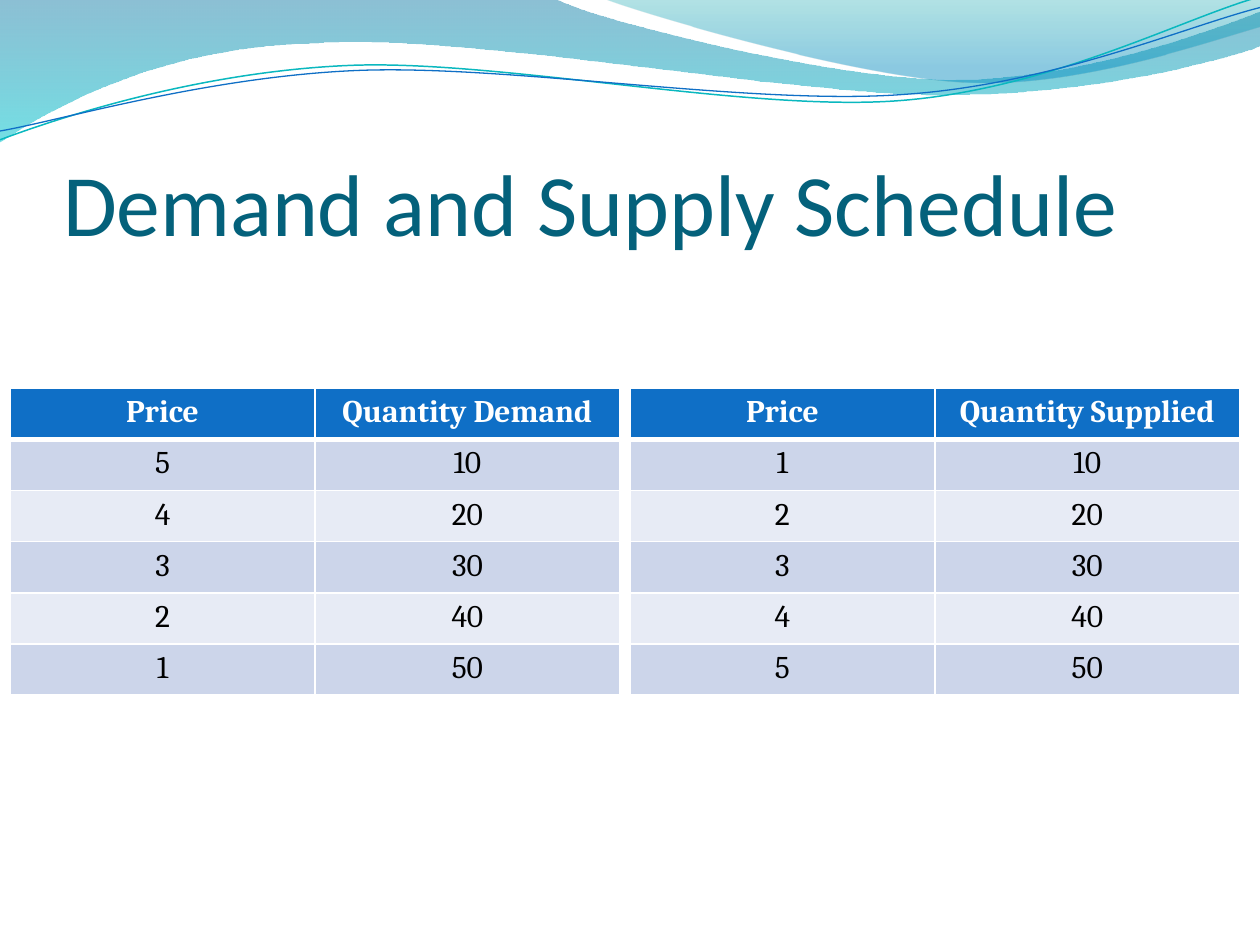
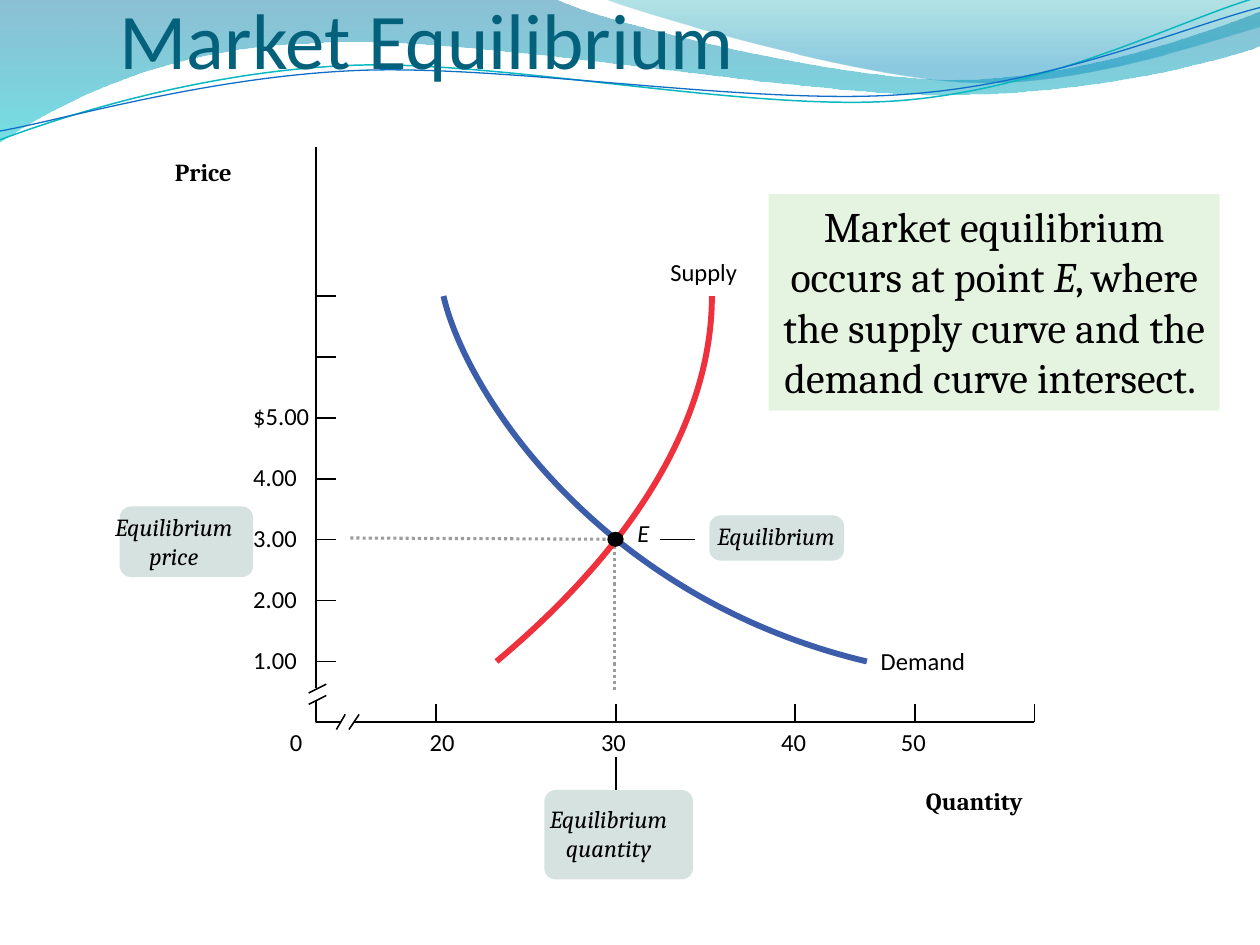
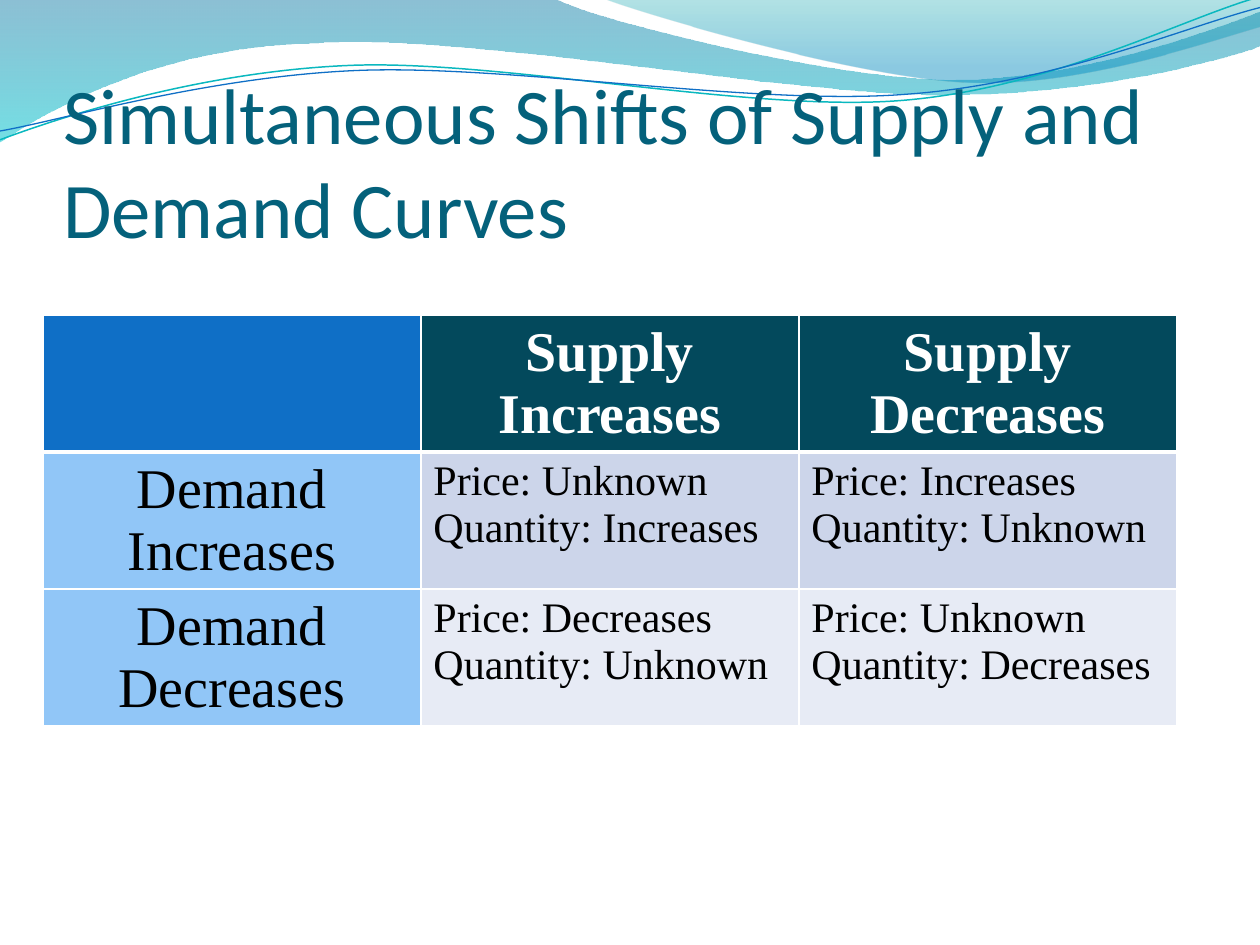
from typing import NamedTuple

from lxml import etree
from pptx import Presentation
from pptx import util as u
from pptx.dml import color
from pptx.enum import dml, shapes, text
from pptx.oxml import ns

HUES = {
    "title": "04617B", "ink": "000000", "white": "FFFFFF",
    "head": "0F6FC6", "dark": "03495C", "side": "91C6F7",
    "odd": "CCD5EA", "even": "E7EBF5",
    "teal": "0AB8BF", "blue": "0F6FC6",
    "deep": "0074A1", "aqua": "00C6CF", "sea": "00A1A9", "sky": "008BBF",
    "note": "E5F4E0", "tag": "D6E2E0", "dots": "9C9C9C",
    "supply": "EE313C", "demand": "3C5DAA",
}
LEFT, MID = text.PP_ALIGN.LEFT, text.PP_ALIGN.CENTER
TOP, CENTER, BOTTOM = text.MSO_ANCHOR.TOP, text.MSO_ANCHOR.MIDDLE, text.MSO_ANCHOR.BOTTOM
FIT, FIXED = text.MSO_AUTO_SIZE.SHAPE_TO_FIT_TEXT, text.MSO_AUTO_SIZE.NONE
PAD = (0.1, 0.05, 0.1, 0.05)
BARE = (0, 0, 0, 0)
THIN = 0.88


class Box(NamedTuple):
    x: float
    y: float
    w: float
    h: float


class Stop(NamedTuple):
    hue: str
    place: float
    alpha: int


class Curve(NamedTuple):
    start: tuple
    steps: list
    hue: str = ""
    width: float = 1
    stops: tuple = ()


class Line(NamedTuple):
    x1: float
    y1: float
    x2: float
    y2: float
    hue: str = "ink"
    width: float = THIN
    dotted: bool = False


class Label(NamedTuple):
    words: str
    box: Box


class Tick(NamedTuple):
    x: float
    words: str
    left: float


WAVES = [
    Curve((0, 0), [
        (4.4, -0.01), (4.76, 0.17, 6.64, 0.63, 7.58, 0.63),
        (8.53, 0.63, 9.58, 0.26, 10, 0.09), (10.01, 0.36),
        (9.83, 0.44, 8.7, 0.76, 7.46, 0.75), (6.22, 0.75, 3.82, 0.28, 2.57, 0.34),
        (1.29, 0.36, 0.46, 0.83, -0.01, 1.13)],
        stops=(Stop("deep", 0, 45), Stop("aqua", 1, 55))),
    Curve((4.79, -0.01), [
        (5.09, 0.11, 6.82, 0.62, 7.69, 0.65), (8.56, 0.69, 9.61, 0.32, 10, 0.21),
        (10, 0)],
        stops=(Stop("sea", 0, 30), Stop("sky", 0.8, 45))),
    Curve((0, 1.11), [
        (0.48, 0.93, 1.58, 0.57, 2.77, 0.52), (3.95, 0.47, 5.93, 0.89, 7.13, 0.8),
        (8.33, 0.71, 9.38, 0.15, 9.98, -0.02)], "teal", 0.85),
    Curve((0, 1.04), [
        (0.47, 0.96, 1.64, 0.61, 2.83, 0.56), (4.03, 0.51, 5.97, 0.84, 7.17, 0.75),
        (8.36, 0.67, 9.41, 0.21, 10, 0.06)], "blue", 0.75),
]
HIGH = Box(0.5, 0.77, 9, 1.25)

PRICES = ["", "", "$5.00", "4.00", "3.00", "2.00", "1.00"]
AMOUNTS = [Tick(3.46, "20", 3.41), Tick(4.89, "30", 4.77), Tick(6.31, "40", 6.2),
           Tick(7.26, "50", 7.15), Tick(8.21, "", 0)]
GUIDES = [Line(2.78, 4.27, 4.87, 4.28, "dots", 1.75, True),
          Line(4.88, 4.33, 4.88, 5.5, "dots", 1.75, True)]
AXES = [Line(2.51, 5.46, 2.51, 1.17), Line(8.21, 5.73, 2.81, 5.73)]
BREAKS = [Line(2.45, 5.5, 2.59, 5.43), Line(2.45, 5.59, 2.59, 5.52),
          Line(2.74, 5.67, 2.67, 5.79), Line(2.85, 5.67, 2.77, 5.79)]
LEADS = [Line(1.95, 4.28, 1.68, 4.28), Line(5.52, 4.28, 5.24, 4.28),
         Line(4.89, 6.01, 4.89, 6.27)]
CORNER = Curve((2.71, 5.73), [(2.51, 5.73), (2.51, 5.56)], "ink", THIN)
SUPPLY = Curve((5.65, 2.35), [(5.65, 3.22, 5.16, 4.23, 3.94, 5.25)], "supply", 3.38)
DEMAND = Curve((3.52, 2.35), [(3.7, 3.13, 4.77, 4.75, 6.88, 5.25)], "demand", 3.38)
NAMES = [Label("0", Box(2.3, 5.77, 0.11, 0.24)),
         Label("Supply", Box(5.32, 2.04, 0.6, 0.24)),
         Label("Demand", Box(6.99, 5.13, 0.74, 0.24)),
         Label("*E*", Box(5.06, 4.11, 0.13, 0.24))]
HEADS = [Label("Price ", Box(0.95, 1.2, 1.37, 0.34)),
         Label("Quantity ", Box(6.57, 6.19, 2.37, 0.34))]
PLATES = [Box(5.63, 4.09, 1.07, 0.36), Box(4.32, 6.27, 1.18, 0.71),
          Box(0.95, 4.02, 1.06, 0.56)]
TAGS = [Label("*Equilibrium*", Box(5.55, 4.08, 1.22, 0.34)),
        Label("*Equilibrium price*", Box(0.75, 4.01, 1.26, 0.57)),
        Label("*Equilibrium quantity*", Box(4.17, 6.33, 1.32, 0.57))]


def rgb(hue: str) -> color.RGBColor:
    return color.RGBColor.from_string(HUES[hue])


def inch(*sizes: float) -> list:
    return [u.Inches(size) for size in sizes]


def write(frame, words: str, size: float = 14, font: str = "Calibri", hue: str = "ink",
          bold: bool = False, align=LEFT) -> None:
    for n, row in enumerate(words.split("\n")):
        para = frame.add_paragraph() if n else frame.paragraphs[0]
        para.alignment = align
        for k, part in enumerate(row.split("*")):
            if part:
                run = para.add_run()
                run.text = part
                face = run.font
                face.size, face.name = u.Pt(size), font
                face.bold, face.italic = bold, k % 2 == 1
                face.color.rgb = rgb(hue)


def fit(frame, pad: tuple = PAD, wrap: bool = True, anchor=TOP, grow=FIT) -> None:
    frame.margin_left, frame.margin_top, frame.margin_right, frame.margin_bottom = inch(*pad)
    frame.word_wrap, frame.vertical_anchor, frame.auto_size = wrap, anchor, grow


def label(slide, item: Label, pad: tuple = PAD, wrap: bool = True, anchor=TOP,
          **look) -> None:
    frame = slide.shapes.add_textbox(*inch(*item.box)).text_frame
    fit(frame, pad, wrap, anchor)
    write(frame, item.words, **look)


def bend(shape, steps: list) -> None:
    legs = list(shape.element.spPr.iter(ns.qn("a:lnTo")))
    for leg, step in zip(legs, steps):
        if len(step) == 6:
            arc = etree.Element(ns.qn("a:cubicBezTo"))
            for x, y in zip(step[::2], step[1::2]):
                etree.SubElement(arc, ns.qn("a:pt"), x=str(u.Inches(x) - shape.left),
                                 y=str(u.Inches(y) - shape.top))
            leg.getparent().replace(leg, arc)


def draw(slide, curve: Curve):
    pen = slide.shapes.build_freeform(*inch(*curve.start), scale=1.0)
    pen.add_line_segments([inch(*step[-2:]) for step in curve.steps],
                          close=bool(curve.stops))
    shape = pen.convert_to_shape()
    bend(shape, curve.steps)
    shape.shadow.inherit = False
    if curve.stops:
        shape.line.fill.background()
        shape.fill.gradient()
        shape.fill.gradient_angle = 270
        for spot, stop in zip(shape.fill.gradient_stops, curve.stops):
            spot.color.rgb, spot.position = rgb(stop.hue), stop.place
        tints = shape.element.spPr.iter(ns.qn("a:srgbClr"))
        for tint, stop in zip(tints, curve.stops):
            etree.SubElement(tint, ns.qn("a:alpha")).set("val", str(stop.alpha * 1000))
    else:
        shape.fill.background()
        shape.line.color.rgb, shape.line.width = rgb(curve.hue), u.Pt(curve.width)
    return shape


def rule(slide, line: Line) -> None:
    ends = inch(line.x1, line.y1, line.x2, line.y2)
    shape = slide.shapes.add_connector(shapes.MSO_CONNECTOR.STRAIGHT, *ends)
    shape.line.color.rgb, shape.line.width = rgb(line.hue), u.Pt(line.width)
    if line.dotted:
        shape.line.dash_style = dml.MSO_LINE.ROUND_DOT
    etree.SubElement(shape.element.spPr, ns.qn("a:effectLst"))


def block(slide, kind, box: Box, hue: str):
    shape = slide.shapes.add_shape(kind, *inch(*box))
    shape.shadow.inherit = False
    shape.fill.solid()
    shape.fill.fore_color.rgb = rgb(hue)
    shape.line.fill.background()
    return shape


def paint(cell, hue: str, row: int) -> None:
    props = cell._tc.get_or_add_tcPr()
    widths = {"L": 1, "R": 1, "T": 3 if row == 1 else 1, "B": 1 if row else 3}
    for side, width in widths.items():
        edge = etree.SubElement(props, ns.qn(f"a:ln{side}"), w=str(u.Pt(width)))
        fill = etree.SubElement(edge, ns.qn("a:solidFill"))
        etree.SubElement(fill, ns.qn("a:srgbClr"), val=HUES["white"])
    cell.fill.solid()
    cell.fill.fore_color.rgb = rgb(hue)


def grid(slide, rows: list, box: Box, look) -> None:
    table = slide.shapes.add_table(len(rows), len(rows[0]), *inch(*box)).table
    for r, row in enumerate(rows):
        for c, words in enumerate(row):
            cell = table.cell(r, c)
            hue, style = look(r, c)
            paint(cell, hue, r)
            write(cell.text_frame, words, **style)


def band(row: int) -> str:
    return "odd" if row % 2 else "even"


def plain(row: int, col: int) -> tuple:
    style = dict(size=18, font="Cambria", align=MID)
    if row == 0:
        return "head", dict(style, hue="white", bold=True)
    return band(row), style


def cross(row: int, col: int) -> tuple:
    style = dict(size=32, font="Times New Roman", align=MID)
    if row == 0:
        return "dark" if col else "head", dict(style, hue="white", bold=True)
    if col == 0:
        return "side", style
    return band(row), dict(style, size=24, align=LEFT)


def start(deck, words: str, size: float, box: Box = HIGH):
    slide = deck.slides.add_slide(deck.slide_layouts[5])
    title = slide.shapes.title
    title.left, title.top, title.width, title.height = inch(*box)
    fit(title.text_frame, (0, 0.05, 0, 0), anchor=BOTTOM, grow=FIXED)
    write(title.text_frame, words, size, hue="title")
    return slide


def share(slide) -> None:
    tree = slide.slide_layout.shapes.element
    for n, wave in enumerate(WAVES):
        item = draw(slide, wave).element
        item.nvSpPr.cNvPr.set("id", str(100 + n))
        tree.insert(2 + n, item)


def lists(deck) -> None:
    slide = start(deck, "Demand and Supply Schedule", 50)
    share(slide)
    wants = [("Price", "Quantity Demand")] + [(str(6 - n), f"{n}0") for n in range(1, 6)]
    gives = [("Price", "Quantity Supplied")] + [(str(n), f"{n}0") for n in range(1, 6)]
    for rows, left in ((gives, 5), (wants, 0.08)):
        grid(slide, rows, Box(left, 3.08, 4.84, 2.44), plain)


def market(deck) -> None:
    slide = start(deck, "Market Equilibrium", 45, Box(0.95, 0.07, 8.73, 0.61))
    kinds = shapes.MSO_SHAPE
    note = block(slide, kinds.RECTANGLE, Box(6.1, 1.54, 3.58, 1.72), "note").text_frame
    fit(note)
    write(note, "Market equilibrium occurs at point *E*, where the supply curve "
          "and the demand curve intersect. ", 24, "Cambria", align=MID)
    for line in GUIDES + AXES + BREAKS:
        rule(slide, line)
    for n, words in enumerate(PRICES):
        y = 2.35 + n * 2.9 / 6
        rule(slide, Line(2.51, y, 2.67, y))
        if words:
            label(slide, Label(words, Box(2.01, y - 0.13, 0.38 if n > 2 else 0.49, 0.24)),
                  BARE, False)
    for tick in AMOUNTS:
        rule(slide, Line(tick.x, 5.73, tick.x, 5.59))
        if tick.words:
            label(slide, Label(tick.words, Box(tick.left, 5.77, 0.22, 0.24)), BARE, False)
    for curve in (CORNER, SUPPLY, DEMAND):
        draw(slide, curve)
    block(slide, kinds.OVAL, Box(4.82, 4.22, 0.13, 0.12), "ink")
    for name in NAMES:
        label(slide, name, BARE, False)
    for head in HEADS:
        label(slide, head, font="Cambria", bold=True, align=MID)
    for lead in LEADS:
        rule(slide, lead)
    for box in PLATES:
        block(slide, kinds.ROUNDED_RECTANGLE, box, "tag").adjustments[0] = 0.09 / box.h
    for tag in TAGS:
        label(slide, tag, anchor=CENTER, font="Cambria", align=MID)


def shifts(deck) -> None:
    slide = start(deck, "Simultaneous Shifts of Supply and Demand Curves", 45)
    rows = [
        ("", "Supply Increases", "Supply Decreases"),
        ("Demand Increases", "Price: Unknown\nQuantity: Increases",
         "Price: Increases\nQuantity: Unknown"),
        ("Demand Decreases", "Price: Decreases\nQuantity: Unknown",
         "Price: Unknown\nQuantity: Decreases"),
    ]
    grid(slide, rows, Box(0.34, 2.5, 9, 3.24), cross)


def main() -> None:
    deck = Presentation()
    deck.slide_width, deck.slide_height = inch(10, 7.5)
    lists(deck)
    market(deck)
    shifts(deck)
    deck.save("out.pptx")


if __name__ == "__main__":
    main()
